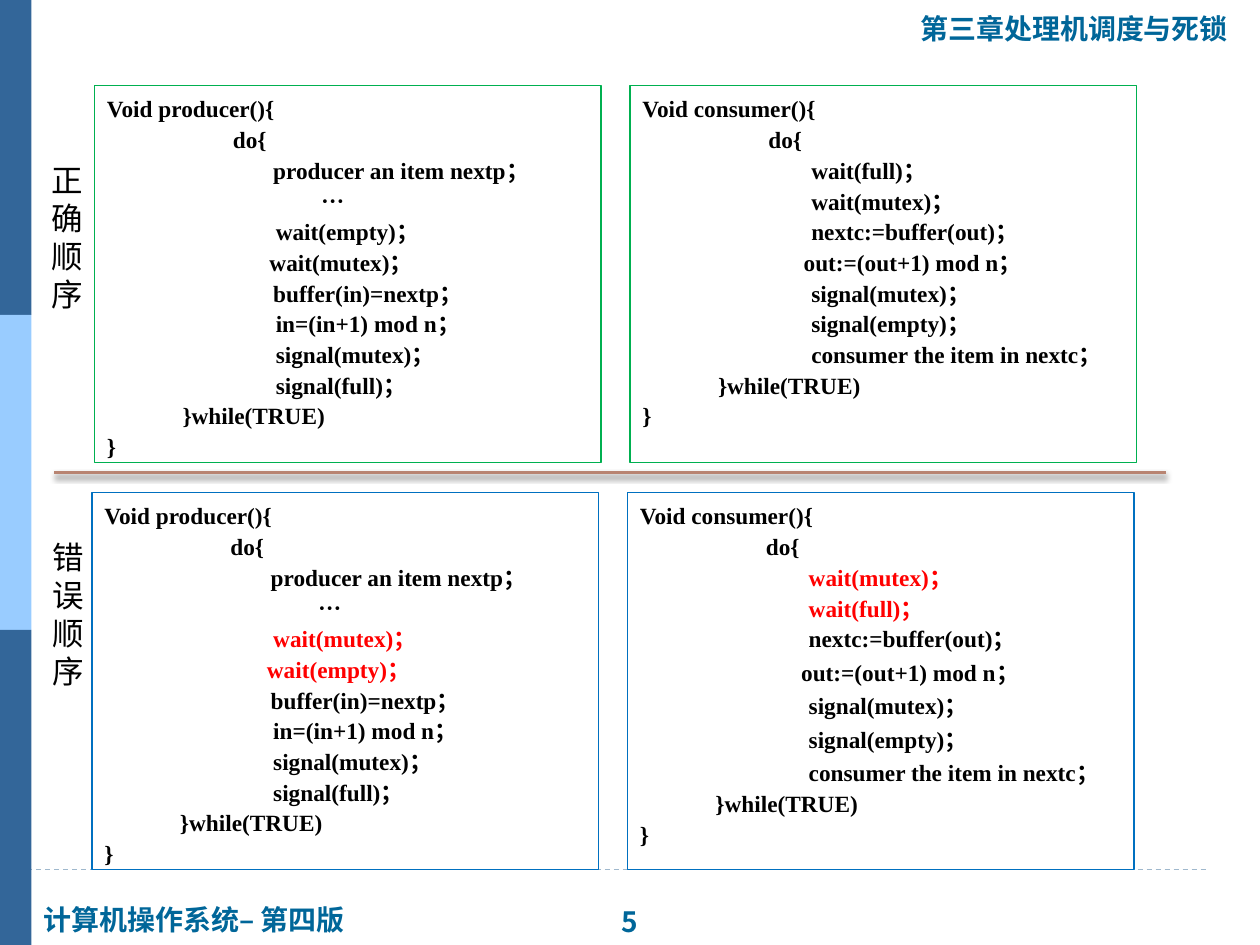
from dataclasses import dataclass

from lxml.etree import SubElement
from pptx import Presentation
from pptx.dml.color import RGBColor
from pptx.enum.dml import MSO_LINE as Dash
from pptx.enum.shapes import MSO_CONNECTOR as Connector, MSO_SHAPE as Shape
from pptx.enum.text import MSO_ANCHOR as Anchor, PP_ALIGN as Align
from pptx.oxml.ns import qn
from pptx.util import Inches, Pt


@dataclass(frozen=True)
class Theme:
    """Colours, fonts and type sizes of the slide."""
    dark: str = "336699"
    light: str = "99CCFF"
    heading: str = "006699"
    rule: str = "9FB8CD"
    divider: str = "B88472"
    right: str = "00B050"
    wrong: str = "0070C0"
    ink: str = "000000"
    alert: str = "FF0000"
    code_font: str = "Times New Roman"
    label_font: str = "Cabin"
    heading_font: str = "Arial"
    cjk_font: str = "Noto Sans CJK JP"
    code_size: float = 13.3
    label_size: float = 18
    heading_size: float = 16
    code_pitch: float = 17.55
    loose_pitch: float = 19.15
    label_pitch: float = 21.7


THEME = Theme()
STEP = 1.34


def rgb(code):
    """Turn a hex code into a colour."""
    return RGBColor.from_string(code)


def write(paragraph, text, *, size, font, color=THEME.ink, bold=False,
          align=Align.LEFT, pitch=None, indent=0):
    """Write one formatted run into a paragraph."""
    paragraph.alignment = align
    if pitch:
        paragraph.line_spacing = Pt(pitch)
    properties = paragraph._p.get_or_add_pPr()
    properties.set("marL", str(Inches(indent)))
    properties.set("indent", "0")
    run = paragraph.add_run()
    run.text = text
    run.font.size = Pt(size)
    run.font.name = font
    run.font.bold = bold
    run.font.color.rgb = rgb(color)
    SubElement(run._r.get_or_add_rPr(), qn("a:ea"), typeface=THEME.cjk_font)


def add_box(slide, box, fill=None, line=None):
    """Add a rectangle with an optional fill and outline."""
    rect = slide.shapes.add_shape(Shape.RECTANGLE, *map(Inches, box))
    rect.shadow.inherit = False
    if fill:
        rect.fill.solid()
        rect.fill.fore_color.rgb = rgb(fill)
    else:
        rect.fill.background()
    if line:
        rect.line.color.rgb = rgb(line)
        rect.line.width = Pt(0.75)
    else:
        rect.line.fill.background()
    return rect


def add_rule(slide, left, right, y, color, width):
    """Add a horizontal line and return it with its empty effect list."""
    rule = slide.shapes.add_connector(
        Connector.STRAIGHT, Inches(left), Inches(y), Inches(right), Inches(y))
    rule.line.color.rgb = rgb(color)
    rule.line.width = Pt(width)
    return rule, SubElement(rule._element.spPr, qn("a:effectLst"))


def add_sidebar(slide, left, top, width, height):
    """Stack three bands of equal height."""
    band = height / 3
    for row, color in enumerate((THEME.dark, THEME.light, THEME.dark)):
        add_box(slide, (left, top + row * band, width, band), fill=color)


def add_heading(slide, box, text, font=THEME.heading_font, align=Align.LEFT):
    """Place a one-line running head or foot."""
    frame = slide.shapes.add_textbox(*map(Inches, box)).text_frame
    frame.word_wrap = False
    frame.vertical_anchor = Anchor.MIDDLE
    write(frame.paragraphs[0], text, size=THEME.heading_size, font=font,
          color=THEME.heading, bold=True, align=align)


def add_label(slide, box, text):
    """Place a narrow label that wraps after each character."""
    frame = slide.shapes.add_textbox(*map(Inches, box)).text_frame
    frame.word_wrap = True
    write(frame.paragraphs[0], text, size=THEME.label_size,
          font=THEME.label_font, pitch=THEME.label_pitch)


def add_code(slide, box, border, lines, alerts=(), loose=()):
    """Place a code listing; alerts and loose hold line numbers."""
    frame = add_box(slide, box, line=border).text_frame
    frame.word_wrap = True
    frame.vertical_anchor = Anchor.TOP
    for number, (indent, text) in enumerate(lines):
        paragraph = frame.add_paragraph() if number else frame.paragraphs[0]
        write(paragraph, text, size=THEME.code_size, bold=True, indent=indent,
              font=THEME.cjk_font if text == "…" else THEME.code_font,
              color=THEME.alert if number in alerts else THEME.ink,
              pitch=THEME.loose_pitch if number in loose else THEME.code_pitch)


def listing(name, body):
    """Wrap body lines in a function and its loop."""
    return [(0, f"Void {name}(){{"), (1, "do{"), *body,
            (0.6, "}while(TRUE)"), (0, "}")]


def producer(first, second):
    """Return the producer code with its two waits in the given order."""
    return listing("producer", [
        (1.32, "producer an item nextp；"), (1.7, "…"),
        (STEP, f"wait({first})；"), (1.29, f"wait({second})；"),
        (1.32, "buffer(in)=nextp；"), (STEP, "in=(in+1) mod n；"),
        (STEP, "signal(mutex)；"), (STEP, "signal(full)；")])


def consumer(first, second):
    """Return the consumer code with its two waits in the given order."""
    return listing("consumer", [
        (STEP, f"wait({first})；"), (STEP, f"wait({second})；"),
        (STEP, "nextc:=buffer(out)；"), (1.28, "out:=(out+1) mod n；"),
        (STEP, "signal(mutex)；"), (STEP, "signal(empty)；"),
        (STEP, "consumer the item in nextc；")])


def add_pair(slide, left, top, border, makers, marked=False):
    """Place producer and consumer listings side by side."""
    width, height, gap = 4.02, 2.99, 0.23
    made, used = makers
    add_code(slide, (left, top, width, height), border, made,
             alerts=(4, 5) if marked else ())
    add_code(slide, (left + width + gap, top, width, height), border, used,
             alerts=(2, 3) if marked else (),
             loose=range(5, 9) if marked else ())


def add_divider(slide, left, right, y):
    """Draw the shadowed line between the two pairs."""
    _, effects = add_rule(slide, left, right, y, THEME.divider, 2)
    shadow = SubElement(effects, qn("a:outerShdw"), blurRad=str(Pt(3)),
                        dist=str(Pt(2)), dir="5400000", rotWithShape="0")
    color = SubElement(shadow, qn("a:srgbClr"), val=THEME.ink)
    SubElement(color, qn("a:alpha"), val="40000")


def main():
    """Build the slide and save it."""
    deck = Presentation()
    deck.slide_width, deck.slide_height = Inches(10), Inches(7.5)
    slide = deck.slides.add_slide(deck.slide_layouts[6])
    footer_rule, _ = add_rule(slide, 0, 9.59, 6.9, THEME.rule, 0.75)
    footer_rule.line.dash_style = Dash.DASH
    add_sidebar(slide, 0, 0, 0.25, 7.5)
    add_heading(slide, (0.25, 7.11, 2.65, 0.37), "计算机操作系统– 第四版")
    add_heading(slide, (4.73, 7.13, 0.54, 0.37), "5",
                font=THEME.cjk_font, align=Align.CENTER)
    add_heading(slide, (7.21, 0.04, 2.68, 0.37), "第三章处理机调度与死锁")
    add_pair(slide, 0.75, 0.68, THEME.right,
             (producer("empty", "mutex"), consumer("full", "mutex")))
    add_pair(slide, 0.73, 3.91, THEME.wrong,
             (producer("mutex", "empty"), consumer("mutex", "full")), marked=True)
    add_divider(slide, 0.43, 9.25, 3.75)
    add_label(slide, (0.31, 1.23, 0.32, 1.31), "正确顺序")
    add_label(slide, (0.32, 4.22, 0.32, 1.31), "错误顺序")
    deck.save("out.pptx")


if __name__ == "__main__":
    main()
